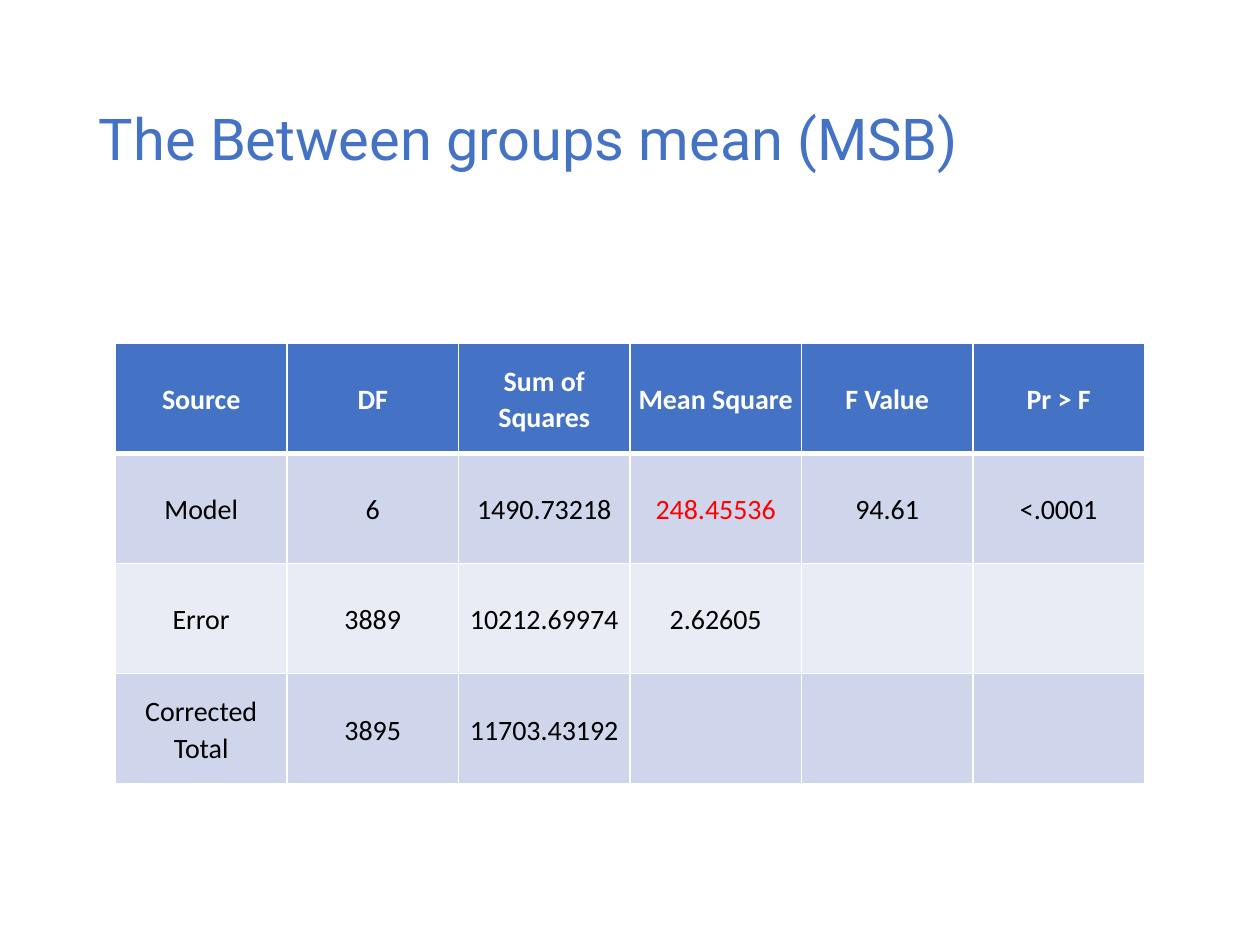
from lxml import etree
from pptx import Presentation
from pptx.dml.color import RGBColor
from pptx.enum.text import MSO_ANCHOR, PP_ALIGN
from pptx.oxml.ns import qn
from pptx.util import Pt

MIDDLE = MSO_ANCHOR.MIDDLE
LEFT, CENTER = PP_ALIGN.LEFT, PP_ALIGN.CENTER
BLUE, WHITE, BLACK, RED = "4472C4", "FFFFFF", "000000", "FF0000"
BANDS = ("CFD5EA", "E9EBF5")
ROWS = (
    ("Source", "DF", "Sum of Squares", "Mean Square", "F Value", "Pr > F"),
    ("Model", "6", "1490.73218", "248.45536", "94.61", "<.0001"),
    ("Error", "3889", "10212.69974", "2.62605", "", ""),
    ("Corrected Total", "3895", "11703.43192", "", "", ""),
)
MARKED = (1, 3)
CELL = {
    "vertical_anchor": MIDDLE,
    "margin_left": Pt(0.7),
    "margin_right": Pt(0.7),
    "margin_top": Pt(0.7),
    "margin_bottom": Pt(0),
}


def color(code):
    return RGBColor.from_string(code)


def apply(item, values):
    for name, value in values.items():
        setattr(item, name, value)


def write(frame, text, code, font, para):
    line = frame.paragraphs[0]
    apply(line, para)
    run = line.add_run()
    run.text = text
    apply(run.font, font)
    run.font.color.rgb = color(code)


def add_title(slide, text):
    box = slide.shapes.add_textbox(Pt(49.5), Pt(28.75), Pt(621), Pt(104.4))
    apply(box.text_frame, {"word_wrap": True, "vertical_anchor": MIDDLE})
    write(box.text_frame, text, BLUE, {"name": "Roboto", "size": Pt(33)},
          {"alignment": LEFT, "line_spacing": 0.9})


def add_edges(cell, widths):
    props = cell._tc.get_or_add_tcPr()
    for side, width in widths.items():
        edge = etree.SubElement(props, qn(f"a:ln{side}"), w=str(Pt(width)))
        fill = etree.SubElement(edge, qn("a:solidFill"))
        etree.SubElement(fill, qn("a:srgbClr"), val=WHITE)


def fill_cell(cell, text, row, col):
    head = row == 0
    apply(cell, CELL)
    add_edges(cell, {"L": 1, "R": 1, "T": 3 if row == 1 else 1,
                     "B": 3 if head else 1})
    cell.fill.solid()
    cell.fill.fore_color.rgb = color(BLUE if head else BANDS[(row - 1) % 2])
    if text:
        code = WHITE if head else RED if (row, col) == MARKED else BLACK
        write(cell.text_frame, text, code,
              {"name": "Calibri", "size": Pt(16), "bold": head},
              {"alignment": CENTER, "line_spacing": 1.07})


def add_grid(slide, rows):
    frame = slide.shapes.add_table(len(rows), len(rows[0]), Pt(66), Pt(196),
                                   Pt(588), Pt(252))
    for r, row in enumerate(rows):
        for c, text in enumerate(row):
            fill_cell(frame.table.cell(r, c), text, r, c)


def main():
    deck = Presentation()
    apply(deck, {"slide_width": Pt(720), "slide_height": Pt(540)})
    slide = deck.slides.add_slide(deck.slide_layouts[6])
    add_title(slide, "The Between groups mean (MSB)")
    add_grid(slide, ROWS)
    deck.save("out.pptx")


if __name__ == "__main__":
    main()
